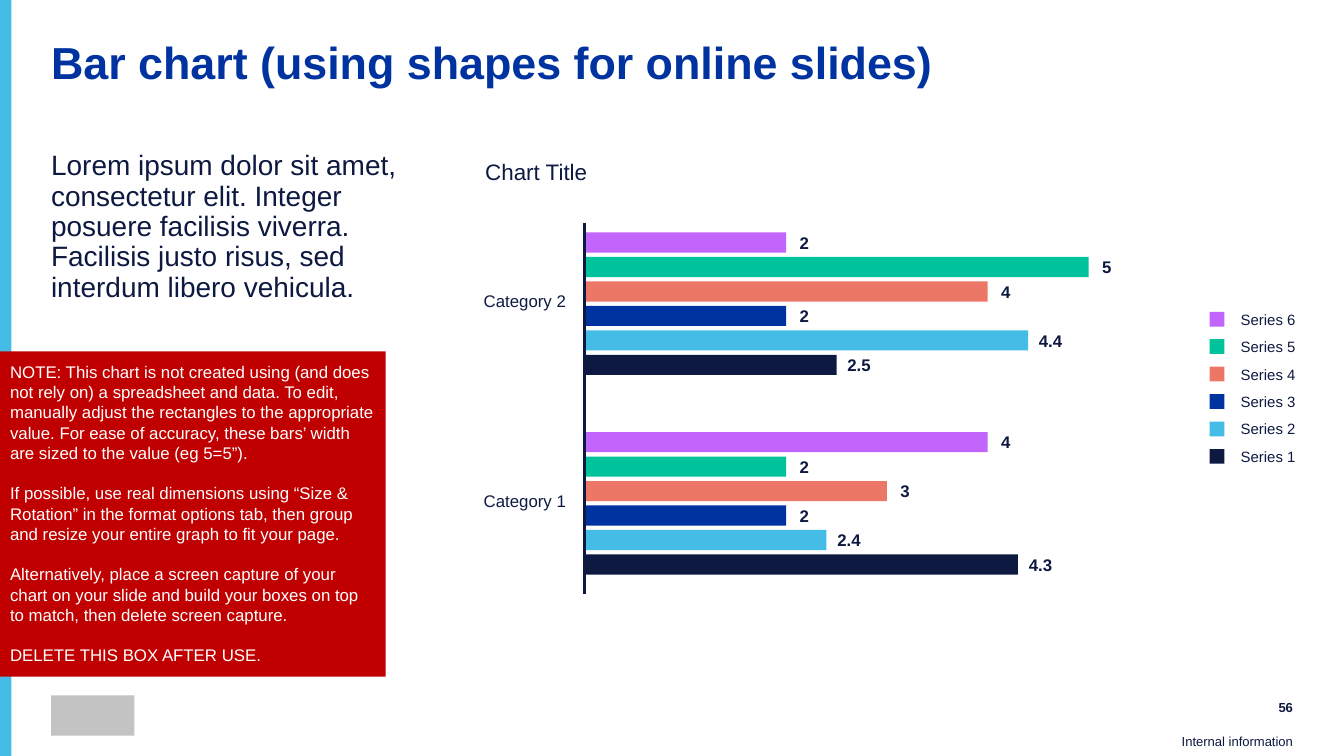
from dataclasses import dataclass

from lxml import etree
from pptx import Presentation
from pptx.dml.color import RGBColor
from pptx.enum.shapes import MSO_CONNECTOR, MSO_SHAPE
from pptx.enum.text import MSO_ANCHOR, PP_ALIGN
from pptx.oxml.ns import qn
from pptx.util import Inches, Pt

RECT = MSO_SHAPE.RECTANGLE
LINE = MSO_CONNECTOR.STRAIGHT
LEFT, RIGHT = PP_ALIGN.LEFT, PP_ALIGN.RIGHT
TOP, MIDDLE, BOTTOM = MSO_ANCHOR.TOP, MSO_ANCHOR.MIDDLE, MSO_ANCHOR.BOTTOM

# The slide is a grid of square cells, 0.1 inch each
COLS, ROWS = 100, 56.25


@dataclass(frozen=True)
class Theme:
    font: str = "Arial"
    ink: str = "0E1941"
    blue: str = "0033A0"
    sky: str = "45BCE5"
    red: str = "C00000"
    white: str = "FFFFFF"
    grey: str = "C3C3C3"
    # Series 6 down to series 1
    series: tuple = ("C265FC", "00C39C", "ED7766", "0033A0", "45BCE5", "0E1941")
    title: float = 24
    body: float = 15
    head: float = 12
    label: float = 9
    key: float = 8
    foot: float = 7


THEME = Theme()

TITLE = "Bar chart (using shapes for online slides)"
BODY = ("Lorem ipsum dolor sit amet, consectetur elit. Integer posuere facilisis "
        "viverra. Facilisis justo risus, sed interdum libero vehicula.")
NOTE = (
    "NOTE: This chart is not created using (and does not rely on) a spreadsheet and "
    "data. To edit, manually adjust the rectangles to the appropriate value. For ease "
    "of accuracy, these bars’ width are sized to the value (eg 5=5”).",
    "If possible, use real dimensions using “Size & Rotation” in the format options "
    "tab, then group and resize your entire graph to fit your page.",
    "Alternatively, place a screen capture of your chart on your slide and build your "
    "boxes on top to match, then delete screen capture.",
    "DELETE THIS BOX AFTER USE.",
)
DATA = {
    "Category 2": (2, 5, 4, 2, 4.4, 2.5),
    "Category 1": (4, 2, 3, 2, 2.4, 4.3),
}


def cell(n):
    return Inches(n / 10)


def block(slide, box, color):
    """Plain filled rectangle."""
    shape = slide.shapes.add_shape(RECT, *map(cell, box))
    shape.shadow.inherit = False
    shape.fill.solid()
    shape.fill.fore_color.rgb = RGBColor.from_string(color)
    shape.line.fill.background()
    return shape


def write(shape, *texts, size, color=THEME.ink, bold=False, align=LEFT,
          anchor=TOP, inset=(0, 0, 0, 0), space=0, lead=None):
    """Fill a shape with paragraphs; inset is left, top, right, bottom."""
    frame = shape.text_frame
    frame.word_wrap = True
    frame.vertical_anchor = anchor
    (frame.margin_left, frame.margin_top,
     frame.margin_right, frame.margin_bottom) = map(cell, inset)
    for i, text in enumerate(texts):
        para = frame.add_paragraph() if i else frame.paragraphs[0]
        para.alignment = align
        if i:
            para.space_before = Pt(space)
        if lead:
            para.line_spacing = lead
        run = para.add_run()
        run.text = text
        run.font.name = THEME.font
        run.font.size = Pt(size)
        run.font.bold = bold
        run.font.color.rgb = RGBColor.from_string(color)


def label(slide, box, *texts, **style):
    write(slide.shapes.add_textbox(*map(cell, box)), *texts, **style)


def frame(slide, box):
    """Side band, mark, page number and footer."""
    x, y, w, h = box
    block(slide, (x, y, 0.85, h), THEME.sky)
    block(slide, (x + 3.8, y + h - 4.5, 6.2, 3), THEME.grey)
    end = x + w - 3.8
    label(slide, (end - 5.9, y + h - 4.5, 5.9, 1.8), "56", size=THEME.foot,
          bold=True, align=RIGHT, anchor=MIDDLE)
    label(slide, (end - 9, y + h - 1.65, 9, 1.6), "Internal information",
          size=THEME.foot, align=RIGHT, anchor=BOTTOM, inset=(0, 0, 0, 0.5))


def copy(slide, box):
    """Title across the slide, body text in the left column."""
    x, y, w, h = box
    label(slide, (x, y, w, 4.9), TITLE, size=THEME.title, color=THEME.blue,
          bold=True, lead=0.9)
    label(slide, (x, y + 8.3, 28.5, h - 8.3), BODY, size=THEME.body, lead=0.9)


def note(slide, box):
    write(block(slide, box, THEME.red), *NOTE, size=THEME.label,
          color=THEME.white, inset=(0.75,) * 4, space=10.9)


def bars(slide, box, name, values):
    """One category: its name, then a bar and a value per series."""
    x, y, w, h = box
    axis, unit, step, thick = x + 8.5, 7.5, h / len(values), 1.5
    mid = y + ((len(values) - 1) * step + thick) / 2
    label(slide, (x, mid - 1.4, 7.5, 2.4), name, size=THEME.label,
          align=RIGHT, anchor=MIDDLE, inset=(0.4,) * 4)
    for i, (value, color) in enumerate(zip(values, THEME.series)):
        row, span = y + i * step, value * unit
        block(slide, (axis, row, span, thick), color)
        gap = 0.6 if value == int(value) else 0.4
        label(slide, (axis + span + gap, row, 3.7, thick), str(value),
              size=THEME.label, bold=True, anchor=MIDDLE, inset=(0.4, 0, 0.4, 0))


def chart(slide, box):
    x, y, w, h = box
    label(slide, (x + 0.7, y, 16.2, 2.8), "Chart Title", size=THEME.head,
          inset=(0.4,) * 4)
    for i, (name, values) in enumerate(DATA.items()):
        bars(slide, (x, y + 5.9 + i * 14.85, w, 10.92), name, values)
    # Axis
    ends = (x + 8.5, y + 5.2, x + 8.5, y + h)
    axis = slide.shapes.add_connector(LINE, *map(cell, ends))
    axis.line.color.rgb = RGBColor.from_string(THEME.ink)
    axis.line.width = Pt(1.5)
    etree.SubElement(axis.element.spPr, qn("a:effectLst"))


def legend(slide, box):
    x, y, w, h = box
    count = len(THEME.series)
    for i, color in enumerate(THEME.series):
        row = y + i * h / count
        block(slide, (x, row, 1.1, 1.1), color)
        label(slide, (x + 1.9, row, w - 1.9, 1.1), f"Series {count - i}",
              size=THEME.key, anchor=MIDDLE, inset=(0.4, 0, 0.4, 0))


def main():
    deck = Presentation()
    deck.slide_width, deck.slide_height = cell(COLS), cell(ROWS)
    slide = deck.slides.add_slide(deck.slide_layouts[6])
    frame(slide, (0, 0, COLS, ROWS))
    copy(slide, (3.8, 3, 92.5, 47.3))
    chart(slide, (35, 11.4, 50, 32.8))
    note(slide, (0, 26.15, 28.7, 24.2))
    legend(slide, (90, 23.2, 7, 12.25))
    deck.save("out.pptx")


if __name__ == "__main__":
    main()
